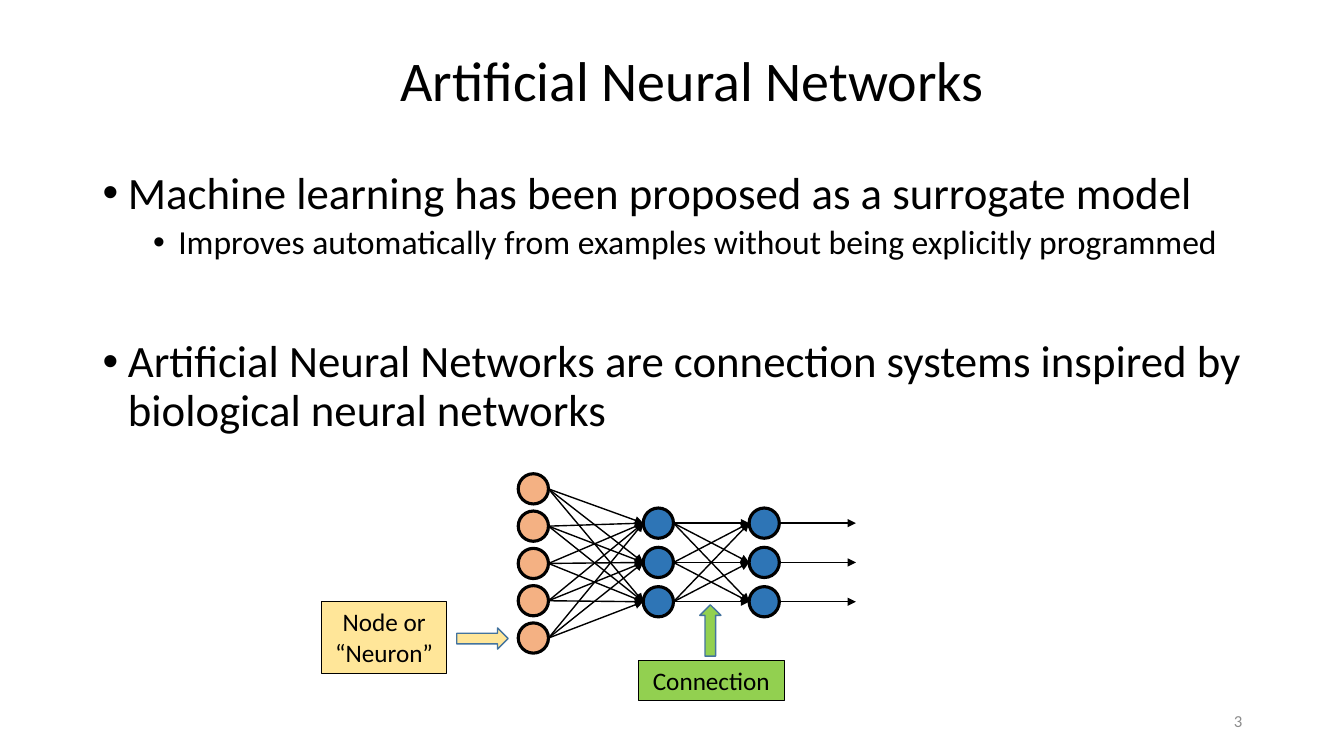
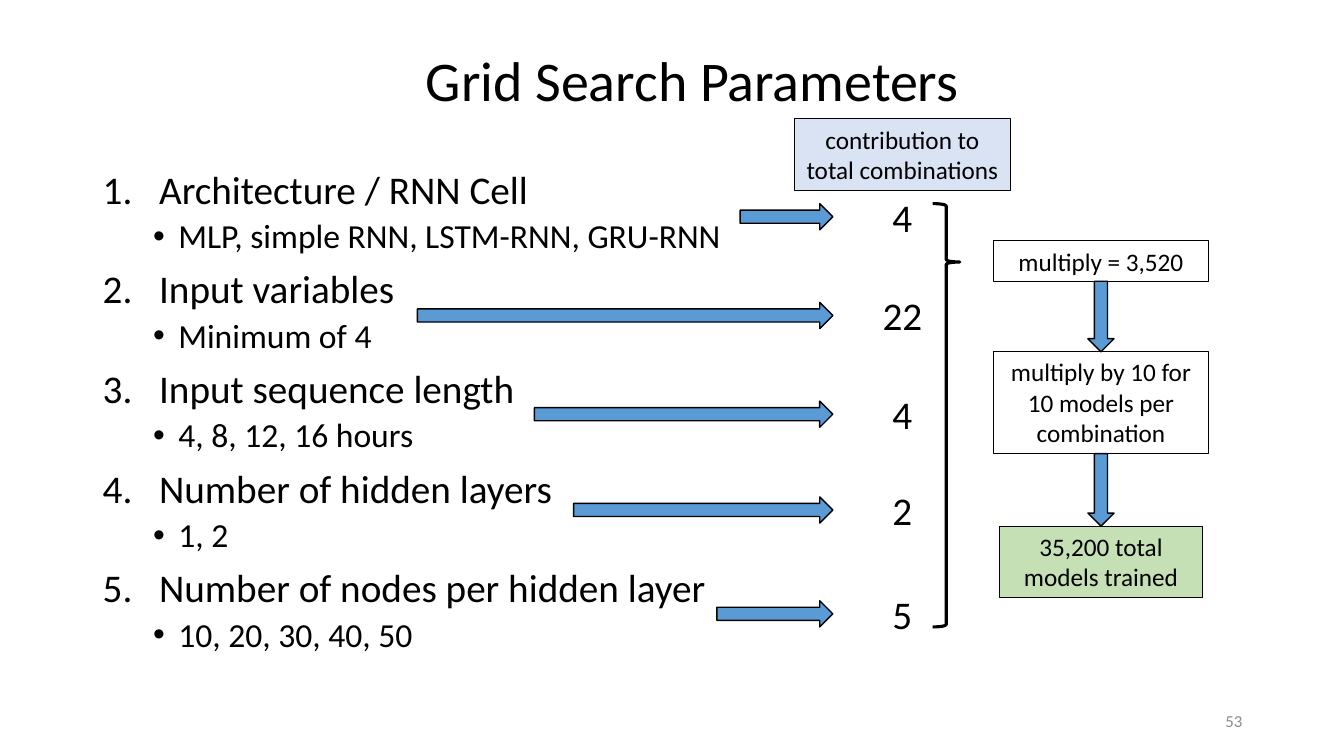
from itertools import product

from lxml import etree
from pptx import Presentation
from pptx.dml.color import RGBColor
from pptx.enum.shapes import MSO_CONNECTOR, MSO_SHAPE
from pptx.enum.text import MSO_ANCHOR, PP_ALIGN
from pptx.oxml.ns import qn
from pptx.util import Inches, Pt

RECT, OVAL, BRACE = MSO_SHAPE.RECTANGLE, MSO_SHAPE.OVAL, MSO_SHAPE.RIGHT_BRACE
RIGHT, UP, DOWN = MSO_SHAPE.RIGHT_ARROW, MSO_SHAPE.UP_ARROW, MSO_SHAPE.DOWN_ARROW
STRAIGHT = MSO_CONNECTOR.STRAIGHT
AL_LEFT, AL_CENTER, AL_RIGHT = PP_ALIGN.LEFT, PP_ALIGN.CENTER, PP_ALIGN.RIGHT
TOP, MIDDLE = MSO_ANCHOR.TOP, MSO_ANCHOR.MIDDLE

FONT = "Calibri"
C = {
    "black": "000000", "gray": "8C8C8C", "peach": "F4B183", "node": "2E75B6",
    "yellow": "FFE699", "lime": "92D050", "edge": "43739E", "blue": "5B9BD5",
    "pale_blue": "DAE3F3", "pale_green": "C5E0B4",
}

TITLE_BOX = (1.31, 0.32, 11.11, 1.01)
NUMBER_BOX = (9.42, 6.95, 3, 0.4)
BODY_LEFT, BODY_TOP, BODY_HEIGHT = 0.92, 1.64, 5.12

NETWORK_POINTS = [
    (0, "Machine learning has been proposed as a surrogate model", 10),
    (1, "Improves automatically from examples without being explicitly programmed", 5),
    (0, "Artificial Neural Networks are connection systems inspired by biological neural networks", 55),
]
NODE = 0.3
LAYERS = [
    (5.14, 4.7, 0.37, 5, "peach"),
    (6.38, 5.04, 0.39, 3, "node"),
    (7.43, 5.04, 0.39, 3, "node"),
]
OUTPUT_X = 8.49

PARAMETERS = [
    ("Architecture / RNN Cell", "MLP, simple RNN, LSTM-RNN, GRU-RNN", "4", 7.34, 2.02),
    ("Input variables", "Minimum of 4", "22", 4.14, 3),
    ("Input sequence length", "4, 8, 12, 16 hours", "4", 5.3, 3.98),
    ("Number of hidden layers", "1, 2", "2", 5.69, 4.93),
    ("Number of nodes per hidden layer", "10, 20, 30, 40, 50", "5", 7.11, 5.96),
]
ARROW_END, ARROW_THICK = 8.26, 0.26
COUNT_LEFT, COUNT_WIDTH, COUNT_HEIGHT = 8.65, 0.6, 0.57

FLOW_CENTER = 10.92
FLOW = [
    ("multiply = 3,520", 2.39, 2.14, 0.4, None),
    ("multiply by 10 for 10 models per combination", 3.49, 2.14, 1.01, None),
    ("35,200 total models trained", 5.22, 2.01, 0.71, "pale_green"),
]


def rgb(name):
    return RGBColor.from_string(C[name])


def style(p, size, color="black", align=AL_LEFT):
    p.alignment = align
    p.font.name = FONT
    p.font.size = Pt(size)
    p.font.color.rgb = rgb(color)


def add_text(s, box, text, size, color="black", align=AL_LEFT, anchor=TOP):
    tf = s.shapes.add_textbox(*map(Inches, box)).text_frame
    tf.word_wrap = True
    tf.vertical_anchor = anchor
    p = tf.paragraphs[0]
    p.text = text
    style(p, size, color, align)
    return p


def add_shape(s, kind, box, fill=None, line="black", width=1):
    sp = s.shapes.add_shape(kind, *map(Inches, box))
    sp.shadow.inherit = False
    if fill:
        sp.fill.solid()
        sp.fill.fore_color.rgb = rgb(fill)
    else:
        sp.fill.background()
    sp.line.color.rgb = rgb(line)
    sp.line.width = Pt(width)
    return sp


def add_label(s, box, text, fill=None):
    tf = add_shape(s, RECT, box, fill, width=0.75).text_frame
    tf.word_wrap = True
    tf.vertical_anchor = TOP
    tf.text = text
    style(tf.paragraphs[0], 18, align=AL_CENTER)


def add_link(s, start, end):
    cx = s.shapes.add_connector(STRAIGHT, *map(Inches, start + end))
    cx.line.color.rgb = rgb("black")
    cx.line.width = Pt(1)
    props = cx.element.spPr
    etree.SubElement(props.find(qn("a:ln")), qn("a:tailEnd"), type="triangle")
    etree.SubElement(props, qn("a:effectLst"))


def add_body(s, width, points, size, indent, numbered=False):
    box = (BODY_LEFT, BODY_TOP, width, BODY_HEIGHT)
    tf = s.shapes.add_textbox(*map(Inches, box)).text_frame
    tf.word_wrap = True
    for i, (level, text, before) in enumerate(points):
        p = tf.paragraphs[0] if i == 0 else tf.add_paragraph()
        p.text = text
        p.level = level
        p.line_spacing = 0.9
        p.space_before = Pt(before if i else 0)
        margin, hang = (0.75, 0.25) if level else (indent, indent)
        props = p._p.get_or_add_pPr()
        props.set("marL", str(Inches(margin)))
        props.set("indent", str(-Inches(hang)))
        if numbered and level == 0:
            etree.SubElement(props, qn("a:buFont"), typeface="+mj-lt")
            etree.SubElement(props, qn("a:buAutoNum"), type="arabicPeriod")
        else:
            etree.SubElement(props, qn("a:buFont"), typeface="Arial")
            etree.SubElement(props, qn("a:buChar"), char="•")
        style(p, 24 if level else size)


def new_slide(prs, title, number):
    s = prs.slides.add_slide(prs.slide_layouts[6])
    p = add_text(s, TITLE_BOX, title, 40, align=AL_CENTER, anchor=MIDDLE)
    p.line_spacing = 0.9
    add_text(s, NUMBER_BOX, number, 12, "gray", AL_RIGHT, MIDDLE)
    return s


def network_slide(prs):
    s = new_slide(prs, "Artificial Neural Networks", "3")
    add_body(s, 11.5, NETWORK_POINTS, 32, 0.25)
    columns = []
    for left, top, pitch, count, fill in LAYERS:
        tops = [top + pitch * i for i in range(count)]
        for y in tops:
            add_shape(s, OVAL, (left, y, NODE, NODE), fill, width=2.25)
        columns.append((left, [y + NODE / 2 for y in tops]))
    for (left, starts), (right, ends) in zip(columns, columns[1:]):
        for y1, y2 in product(starts, ends):
            add_link(s, (left + NODE, y1), (right, y2))
    left, outputs = columns[-1]
    for y in outputs:
        add_link(s, (left + NODE, y), (OUTPUT_X, y))
    add_label(s, (3.19, 5.97, 1.24, 0.71), "Node or “Neuron”", "yellow")
    add_shape(s, RIGHT, (4.53, 6.23, 0.51, 0.21), "yellow", "edge")
    add_label(s, (6.33, 6.55, 1.45, 0.4), "Connection", "lime")
    add_shape(s, UP, (6.94, 6, 0.21, 0.51), "lime", "edge")


def grid_search_slide(prs):
    s = new_slide(prs, "Grid Search Parameters", "53")
    points = []
    for name, values, *_ in PARAMETERS:
        points += [(0, name, 10), (1, values, 5)]
    add_body(s, 6.71, points, 28, 0.56, numbered=True)
    for _, _, count, left, top in PARAMETERS:
        add_shape(s, RIGHT, (left, top, ARROW_END - left, ARROW_THICK), "blue")
        middle = top + ARROW_THICK / 2
        box = (COUNT_LEFT, middle - COUNT_HEIGHT / 2, COUNT_WIDTH, COUNT_HEIGHT)
        add_text(s, box, count, 28, align=AL_CENTER)
    add_label(s, (7.88, 1.18, 2.14, 0.71), "contribution to total combinations", "pale_blue")
    brace = add_shape(s, BRACE, (9.25, 2.02, 0.27, 4.2), width=2.25)
    brace.adjustments[0], brace.adjustments[1] = 0.083, 0.138
    for text, top, width, height, fill in FLOW:
        add_label(s, (FLOW_CENTER - width / 2, top, width, height), text, fill)
    for (_, top, _, height, _), (_, below, *_) in zip(FLOW, FLOW[1:]):
        bottom = top + height
        box = (FLOW_CENTER - ARROW_THICK / 2, bottom, ARROW_THICK, below - bottom)
        add_shape(s, DOWN, box, "blue")


def main():
    prs = Presentation()
    prs.slide_width, prs.slide_height = Inches(13.33), Inches(7.5)
    network_slide(prs)
    grid_search_slide(prs)
    prs.save("out.pptx")


if __name__ == "__main__":
    main()
